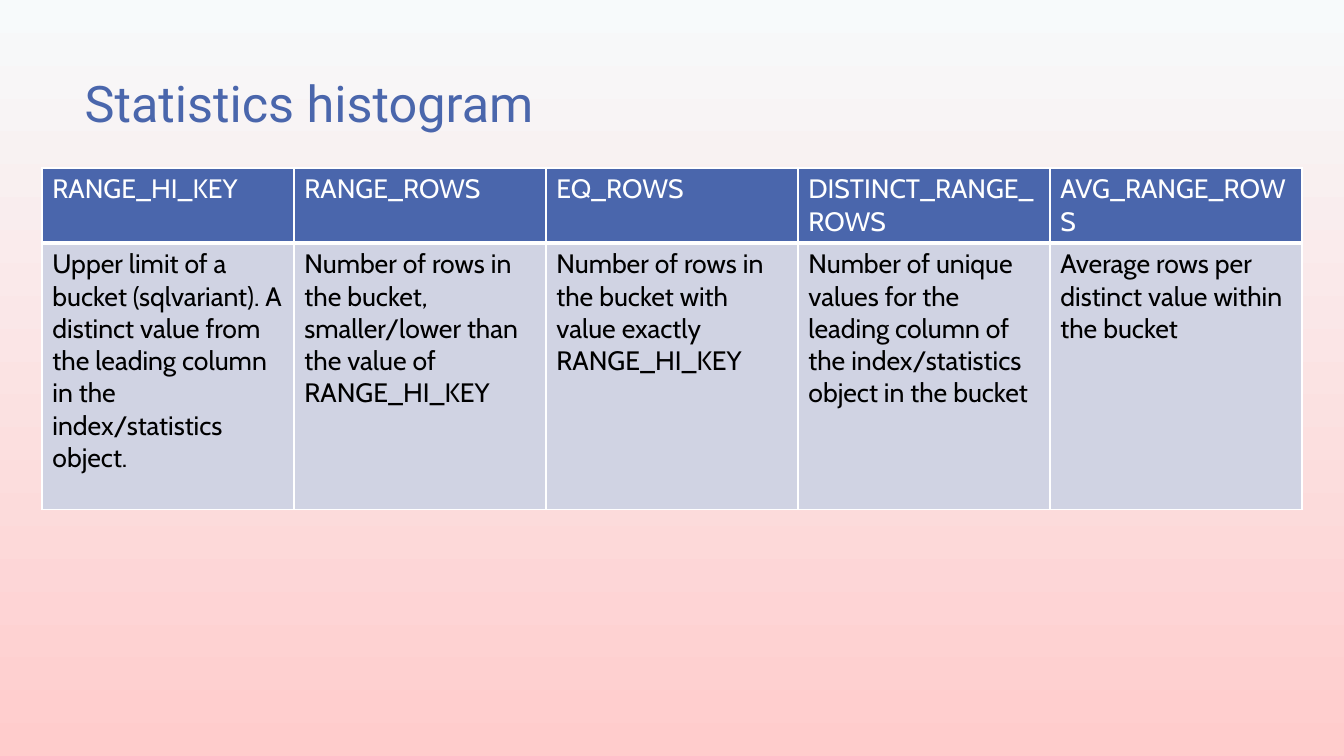
from dataclasses import dataclass

from lxml.etree import SubElement
from pptx import Presentation
from pptx.dml.color import RGBColor
from pptx.enum.text import MSO_ANCHOR, MSO_AUTO_SIZE, PP_ALIGN
from pptx.oxml.ns import qn
from pptx.slide import Slide
from pptx.table import _Cell
from pptx.text.text import TextFrame
from pptx.util import Emu, Pt

PX = 9525
BLUE = RGBColor(0x4A, 0x66, 0xAC)
PALE_BLUE = RGBColor(0xD0, 0xD3, 0xE3)
WHITE = RGBColor(0xFF, 0xFF, 0xFF)
BLACK = RGBColor(0x00, 0x00, 0x00)
SKY = RGBColor(0xF7, 0xFA, 0xFB)
PINK = RGBColor(0xFF, 0xCC, 0xCC)


@dataclass(frozen=True)
class RowStyle:
    height: int
    fill: RGBColor
    color: RGBColor
    bottom_pt: int


@dataclass(frozen=True)
class Column:
    name: str
    meaning: str


ROW_STYLES = [RowStyle(71, BLUE, WHITE, 3), RowStyle(254, PALE_BLUE, BLACK, 1)]
COLUMNS = [
    Column("RANGE_HI_KEY",
           "Upper limit of a bucket (sqlvariant). A distinct value from the "
           "leading column in the index/statistics object."),
    Column("RANGE_ROWS",
           "Number of rows in the bucket, smaller/lower than the value of RANGE_HI_KEY"),
    Column("EQ_ROWS",
           "Number of rows in the bucket with value exactly RANGE_HI_KEY"),
    Column("DISTINCT_RANGE_ROWS",
           "Number of unique values for the leading column of the "
           "index/statistics object in the bucket"),
    Column("AVG_RANGE_ROWS",
           "Average rows per distinct value within the bucket"),
]


def px(n: int) -> Emu:
    return Emu(n * PX)


def write(tf: TextFrame, text: str, *, font: str, size: int, color: RGBColor) -> None:
    p = tf.paragraphs[0]
    p.alignment = PP_ALIGN.LEFT
    r = p.add_run()
    r.text = text
    r.font.name = font
    r.font.size = Pt(size)
    r.font.bold = False
    r.font.color.rgb = color


def set_borders(cell: _Cell, bottom_pt: int) -> None:
    tc_pr = cell._tc.get_or_add_tcPr()
    for side, width in (("L", 1), ("R", 1), ("T", 1), ("B", bottom_pt)):
        ln = SubElement(tc_pr, qn(f"a:ln{side}"), w=str(Pt(width)))
        fill = SubElement(ln, qn("a:solidFill"))
        SubElement(fill, qn("a:srgbClr"), val=str(WHITE))


def set_background(s: Slide) -> None:
    fill = s.background.fill
    fill.gradient()
    fill.gradient_angle = 270
    for stop, color in zip(fill.gradient_stops, (SKY, PINK)):
        stop.color.rgb = color


def add_title(s: Slide, text: str) -> None:
    sp = s.shapes.title
    sp.left, sp.top, sp.width, sp.height = px(71), px(64), px(902), px(138)
    tf = sp.text_frame
    tf.word_wrap = True
    tf.auto_size = MSO_AUTO_SIZE.NONE
    tf.vertical_anchor = MSO_ANCHOR.TOP
    write(tf, text, font="Roboto", size=36, color=BLUE)


def add_histogram_table(s: Slide) -> None:
    height = sum(style.height for style in ROW_STYLES)
    table = s.shapes.add_table(len(ROW_STYLES), len(COLUMNS),
                               px(40), px(160), px(1200), px(height)).table
    for row, style in zip(table.rows, ROW_STYLES):
        row.height = px(style.height)
    for c, column in enumerate(COLUMNS):
        for r, (text, style) in enumerate(zip((column.name, column.meaning), ROW_STYLES)):
            cell = table.cell(r, c)
            set_borders(cell, style.bottom_pt)
            cell.fill.solid()
            cell.fill.fore_color.rgb = style.fill
            cell.margin_left = cell.margin_right = px(10)
            cell.margin_top = cell.margin_bottom = px(5)
            write(cell.text_frame, text, font="Cabin", size=19, color=style.color)


def main() -> None:
    prs = Presentation()
    prs.slide_width, prs.slide_height = px(1280), px(720)
    s = prs.slides.add_slide(prs.slide_layouts[5])
    set_background(s)
    add_title(s, "Statistics histogram")
    add_histogram_table(s)
    prs.save("out.pptx")


if __name__ == "__main__":
    main()
